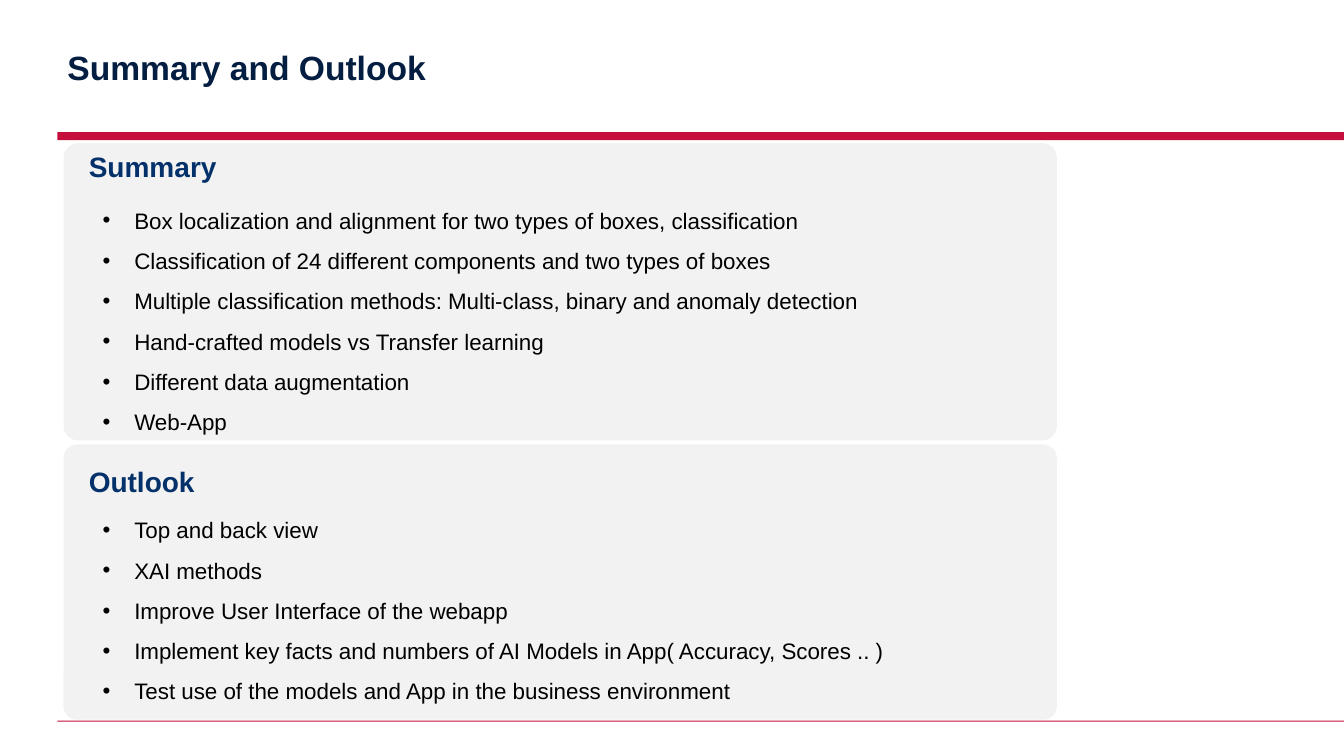
from lxml import etree
from pptx import Presentation
from pptx.dml.color import RGBColor
from pptx.enum.shapes import MSO_SHAPE
from pptx.enum.text import MSO_ANCHOR, MSO_AUTO_SIZE, PP_ALIGN
from pptx.oxml.ns import qn
from pptx.util import Pt

RECT, ROUND = MSO_SHAPE.RECTANGLE, MSO_SHAPE.ROUNDED_RECTANGLE
TOP, LEFT, FIXED = MSO_ANCHOR.TOP, PP_ALIGN.LEFT, MSO_AUTO_SIZE.NONE

RED = RGBColor(0xC5, 0x0F, 0x3C)
GREY = RGBColor(0xF2, 0xF2, 0xF2)
NAVY = RGBColor(0x04, 0x1E, 0x42)
BLUE = RGBColor(0x04, 0x31, 0x6A)
BLACK = RGBColor(0, 0, 0)

INDENT = Pt(22.5)

SUMMARY = [
    "Box localization and alignment for two types of boxes, classification",
    "Classification of 24 different components and two types of boxes",
    "Multiple classification methods: Multi-class, binary and anomaly detection",
    "Hand-crafted models vs Transfer learning",
    "Different data augmentation",
    "Web-App",
]
OUTLOOK = [
    "Top and back view",
    "XAI methods",
    "Improve User Interface of the webapp",
    "Implement key facts and numbers of AI Models in App( Accuracy, Scores .. )",
    "Test use of the models and App in the business environment",
]


def add_block(kind, box, color):
    """Add a plain filled shape behind the placeholders."""
    block = slide.shapes.add_shape(kind, *map(Pt, box))
    block.shadow.inherit = False
    block.fill.solid()
    block.fill.fore_color.rgb = color
    block.line.fill.background()
    slide.shapes._spTree.insert(2, block._element)
    return block


def fill_text(holder, box, lines, size, color, bold=False, bullet=False):
    """Place a placeholder and write one paragraph per line."""
    holder.left, holder.top, holder.width, holder.height = map(Pt, box)
    frame = holder.text_frame
    frame.text = "\n".join(lines)
    frame.word_wrap = True
    frame.auto_size = FIXED
    frame.vertical_anchor = TOP
    for para in frame.paragraphs:
        para.alignment = LEFT
        para.space_before = Pt(0)
        para.line_spacing = 1.5 if bullet else 1.0
        if bullet:
            props = para._p.get_or_add_pPr()
            props.set("marL", str(INDENT))
            props.set("indent", str(-INDENT))
            etree.SubElement(props, qn("a:buFont")).set("typeface", "Arial")
            etree.SubElement(props, qn("a:buChar")).set("char", "•")
        para.font.name = "Arial"
        para.font.size = Pt(size)
        para.font.bold = bold
        para.font.color.rgb = color


prs = Presentation()
prs.slide_width, prs.slide_height = Pt(960), Pt(540)
slide = prs.slides.add_slide(prs.slide_layouts[4])
title, head_one, list_one, head_two, list_two = slide.placeholders

# Rules and panels
for top, height in [(94.3, 5.8), (514.8, 0.72)]:
    add_block(RECT, (41, top, 919, height), RED)
for top, height in [(317.5, 196.6), (102.2, 212.4)]:
    panel = add_block(ROUND, (45.4, top, 709.5, height), GREY)
    panel.adjustments[0] = 0.049

# Title and sections
fill_text(title, (41, 30.2, 539, 26), ["Summary and Outlook"], 24, NAVY, bold=True)
sections = [
    (head_one, 103, "Summary", list_one, 134.6, 178, SUMMARY),
    (head_two, 328.3, "Outlook", list_two, 355.7, 181, OUTLOOK),
]
for head, head_top, name, body, top, height, points in sections:
    fill_text(head, (56.2, head_top, 309, 31.5), [name], 20, BLUE, bold=True)
    fill_text(body, (66.2, top, 689, height), points, 16, BLACK, bullet=True)

prs.save("out.pptx")
